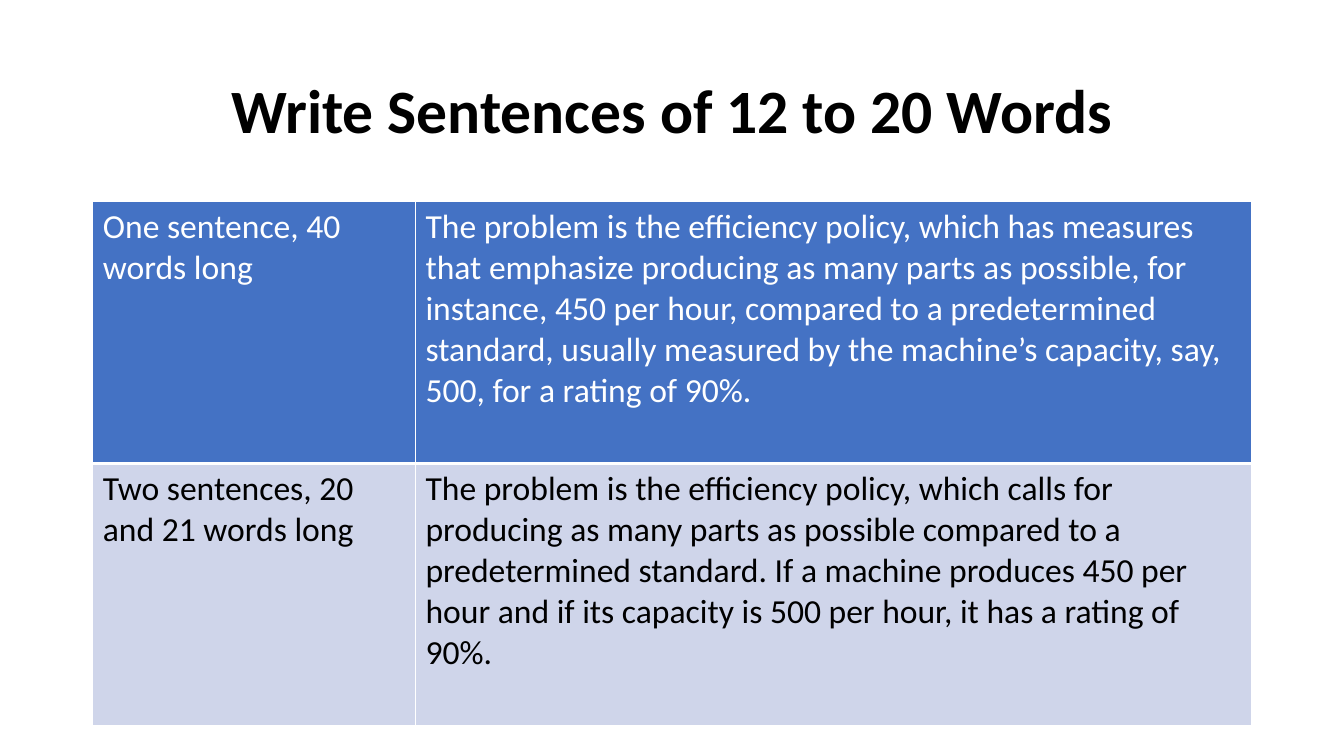
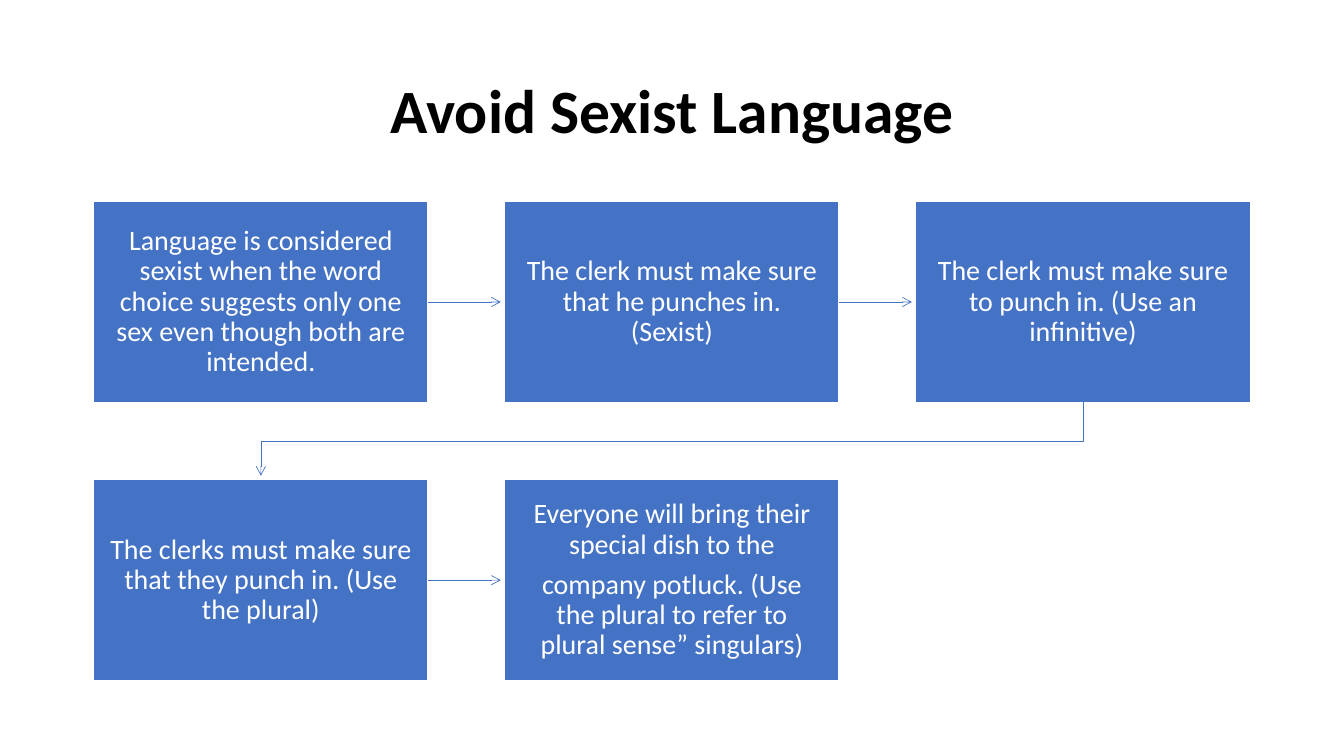
from dataclasses import dataclass

from lxml import etree
from pptx import Presentation
from pptx.dml.color import RGBColor
from pptx.enum import shapes, text
from pptx.oxml import ns
from pptx.util import Cm, Pt


@dataclass(frozen=True)
class Theme:
    font: str = "Calibri"
    accent: RGBColor = RGBColor(0x44, 0x72, 0xC4)
    pale: RGBColor = RGBColor(0xCF, 0xD5, 0xEA)
    white: RGBColor = RGBColor(0xFF, 0xFF, 0xFF)
    black: RGBColor = RGBColor(0, 0, 0)
    title_size: int = 44
    table_size: int = 24
    box_size: int = 20
    left: Cm = Cm(2.34)
    width: Cm = Cm(29.21)
    content_top: Cm = Cm(5.08)


THEME = Theme()

SENTENCES = [
    ("One sentence, 40 words long",
     "The problem is the efficiency policy, which has measures that emphasize "
     "producing as many parts as possible, for instance, 450 per hour, compared "
     "to a predetermined standard, usually measured by the machine’s capacity, "
     "say, 500, for a rating of 90%."),
    ("Two sentences, 20 and 21 words long",
     "The problem is the efficiency policy, which calls for producing as many "
     "parts as possible compared to a predetermined standard. If a machine "
     "produces 450 per hour and if its capacity is 500 per hour, it has a rating "
     "of 90%."),
]

STEPS = [
    ["Language is considered sexist when the word choice suggests only one sex "
     "even though both are intended."],
    ["The clerk must make sure that he punches in. (Sexist)"],
    ["The clerk must make sure to punch in. (Use an infinitive)"],
    ["The clerks must make sure that they punch in. (Use the plural)"],
    ["Everyone will bring their special dish to the",
     "company potluck. (Use the plural to refer to plural sense” singulars)"],
]


def write(frame, *lines, size, color, bold=False, align=None, spacing=None,
          after=None, anchor=None):
    """Fill a text frame with one paragraph per line."""
    frame.word_wrap = True
    if anchor is not None:
        frame.vertical_anchor = anchor
    for index, line in enumerate(lines):
        paragraph = frame.add_paragraph() if index else frame.paragraphs[0]
        paragraph.alignment = align
        paragraph.line_spacing = spacing
        paragraph.space_after = after
        run = paragraph.add_run()
        run.text = line
        run.font.name = THEME.font
        run.font.size = Pt(size)
        run.font.bold = bold
        run.font.color.rgb = color


def add_titled_slide(presentation, heading):
    slide = presentation.slides.add_slide(presentation.slide_layouts[5])
    title = slide.shapes.title
    title.left, title.top = THEME.left, Cm(1.02)
    title.width, title.height = THEME.width, Cm(3.68)
    write(title.text_frame, heading, size=THEME.title_size, color=THEME.black,
          bold=True, align=text.PP_ALIGN.CENTER, spacing=0.9,
          anchor=text.MSO_ANCHOR.MIDDLE)
    return slide


def set_borders(cell, **widths):
    """Draw white cell borders; keys are L, R, T and B, widths in points."""
    properties = cell._tc.get_or_add_tcPr()
    for side, width in widths.items():
        border = etree.SubElement(properties, ns.qn(f"a:ln{side}"), w=str(Pt(width)))
        fill = etree.SubElement(border, ns.qn("a:solidFill"))
        etree.SubElement(fill, ns.qn("a:srgbClr"), val=str(THEME.white))


def add_sentence_table(slide):
    row_height = Cm(6.6)
    table = slide.shapes.add_table(
        len(SENTENCES), 2, THEME.left, THEME.content_top, THEME.width,
        row_height * len(SENTENCES)).table
    table.first_row = table.horz_banding = False
    table.columns[0].width = Cm(8.13)
    table.columns[1].width = THEME.width - Cm(8.13)
    looks = [(THEME.accent, THEME.white, 1, 3), (THEME.pale, THEME.black, 3, 1)]
    for row, sentences, look in zip(table.rows, SENTENCES, looks):
        fill, color, top, bottom = look
        row.height = row_height
        for cell, sentence in zip(row.cells, sentences):
            set_borders(cell, L=1, R=1, T=top, B=bottom)
            cell.fill.solid()
            cell.fill.fore_color.rgb = fill
            write(cell.text_frame, sentence, size=THEME.table_size, color=color)


def add_step(slide, lines, left, top):
    box = slide.shapes.add_shape(shapes.MSO_SHAPE.RECTANGLE, left, top,
                                 Cm(8.43), Cm(5.06))
    box.shadow.inherit = False
    box.fill.solid()
    box.fill.fore_color.rgb = THEME.accent
    box.line.color.rgb = THEME.white
    box.line.width = Pt(1)
    frame = box.text_frame
    frame.margin_left = frame.margin_right = Cm(0.41)
    frame.margin_top = frame.margin_bottom = Cm(0.41)
    write(frame, *lines, size=THEME.box_size, color=THEME.white,
          align=text.PP_ALIGN.CENTER, spacing=0.9, after=Pt(7),
          anchor=text.MSO_ANCHOR.MIDDLE)
    return box


def style_arrow(shape):
    shape.line.color.rgb = THEME.accent
    shape.line.width = Pt(0.5)
    properties = shape._element.spPr
    etree.SubElement(properties.find(ns.qn("a:ln")), ns.qn("a:tailEnd"), type="arrow")
    etree.SubElement(properties, ns.qn("a:effectLst"))


def add_straight_arrow(slide, source, target, gap):
    middle = source.top + source.height // 2
    arrow = slide.shapes.add_connector(
        shapes.MSO_CONNECTOR.STRAIGHT, source.left + source.width, middle,
        target.left - gap, middle)
    arrow.begin_connect(source, 3)
    style_arrow(arrow)


def add_return_arrow(slide, source, target, gap):
    """Lead from the end of one row to the start of the next."""
    start_x = source.left + source.width // 2
    end_x = target.left + target.width // 2
    start_y = source.top + source.height
    turn_y = (start_y + target.top) // 2
    builder = slide.shapes.build_freeform(start_x, start_y)
    builder.add_line_segments(
        [(start_x, turn_y), (end_x, turn_y), (end_x, target.top - gap)], close=False)
    arrow = builder.convert_to_shape()
    arrow.fill.background()
    style_arrow(arrow)


def add_step_flow(slide, columns=3):
    boxes = []
    for index, lines in enumerate(STEPS):
        row, column = divmod(index, columns)
        boxes.append(add_step(slide, lines, Cm(2.36) + column * Cm(10.36),
                              THEME.content_top + row * Cm(7.01)))
    for source, target in zip(boxes, boxes[1:]):
        add_arrow = add_straight_arrow if source.top == target.top else add_return_arrow
        add_arrow(slide, source, target, gap=Cm(0.1))


def main():
    presentation = Presentation()
    presentation.slide_width, presentation.slide_height = Cm(33.87), Cm(19.05)
    add_sentence_table(add_titled_slide(presentation, "Write Sentences of 12 to 20 Words"))
    add_step_flow(add_titled_slide(presentation, "Avoid Sexist Language"))
    presentation.save("out.pptx")


if __name__ == "__main__":
    main()
